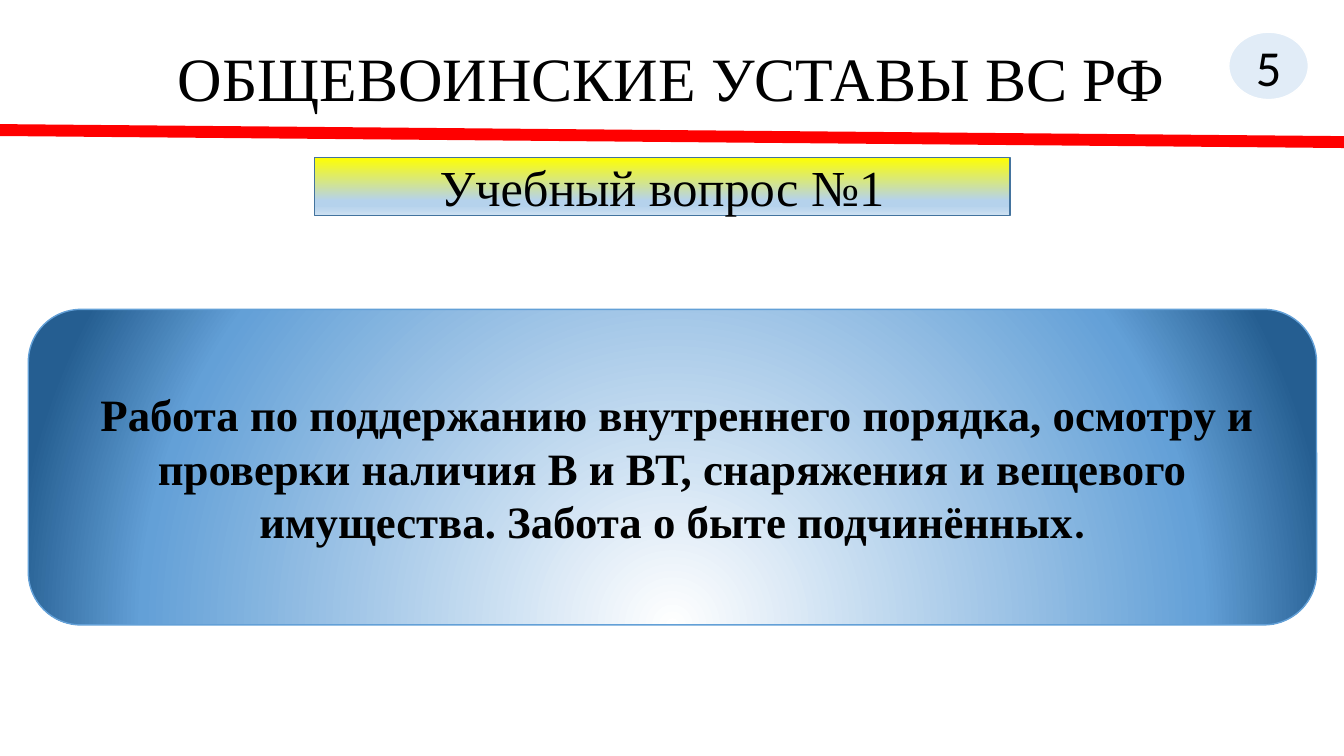
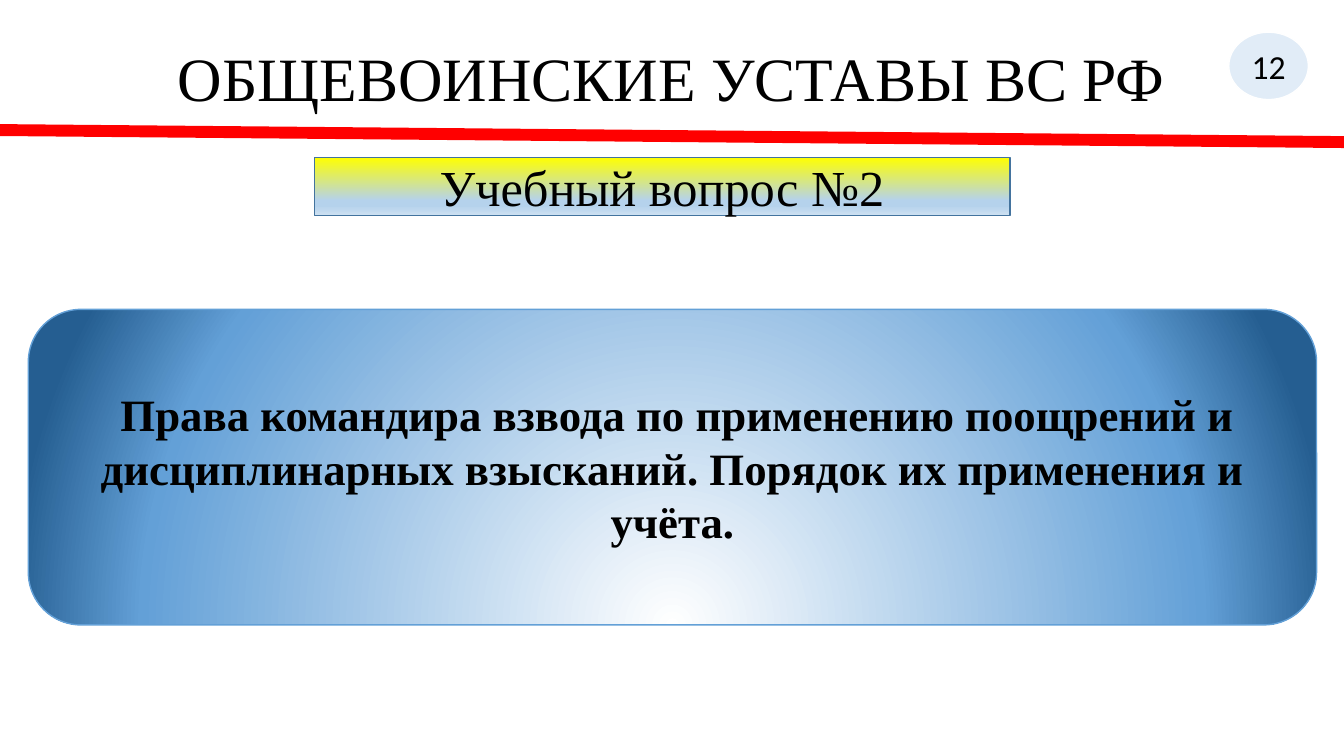
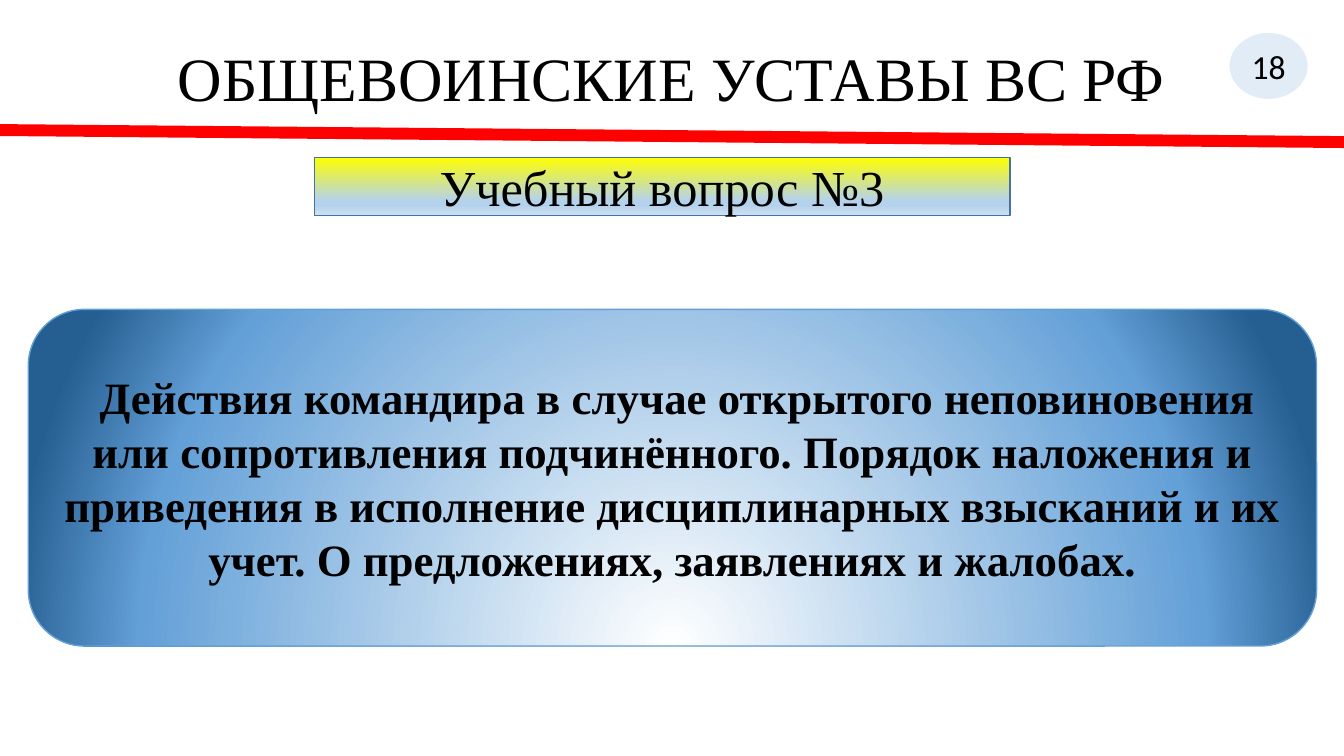
from lxml import etree
from pptx import Presentation
from pptx.dml.color import RGBColor
from pptx.enum import shapes, text
from pptx.oxml.ns import qn
from pptx.util import Pt

SERIF, SANS = "Times New Roman", "Calibri"
BLACK, RED, WHITE = "000000", "FF0000", "FFFFFF"
BADGE_BLUE, BANNER_EDGE, PANEL_BLUE = "5B9BD5", "43739E", "63A0D7"
BANNER_STOPS = [(0, "FFFF00"), (74, "B5D2EC"), (83, "B5D2EC"), (100, "CEE1F2")]
PANEL_STOPS = [(0, WHITE), (80, PANEL_BLUE), (100, "255E91")]

TITLE = "ОБЩЕВОИНСКИЕ УСТАВЫ ВС РФ"
# Slide number, its size, panel height, topic, closing mark in the sans font
QUESTIONS = [
    (5, 36, 225.4,
     "Работа по поддержанию внутреннего порядка, осмотру и проверки наличия "
     "В и ВТ, снаряжения и вещевого имущества. Забота о быте подчинённых", "."),
    (12, 24, 225.4,
     "Права командира взвода по применению поощрений и дисциплинарных "
     "взысканий. Порядок их применения и учёта.", ""),
    (18, 24, 240.5,
     "Действия командира в случае открытого неповиновения или сопротивления "
     "подчинённого. Порядок наложения и приведения в исполнение "
     "дисциплинарных взысканий и их учет. О предложениях, заявлениях и "
     "жалобах.", ""),
]


def color(value):
    return RGBColor.from_string(value)


def write(shape, content, size, font=SERIF, bold=False):
    """Put one centred paragraph into the shape and return it."""
    frame = shape.text_frame
    frame.word_wrap = True
    frame.vertical_anchor = text.MSO_ANCHOR.MIDDLE
    para = frame.paragraphs[0]
    para.alignment = text.PP_ALIGN.CENTER
    para.font.name = font
    para.font.size = Pt(size)
    para.font.bold = bold
    para.font.color.rgb = color(BLACK)
    para.add_run().text = content
    return para


def add_box(slide, kind, left, top, width, height, edge):
    box = slide.shapes.add_shape(kind, Pt(left), Pt(top), Pt(width), Pt(height))
    box.shadow.inherit = False
    box.line.color.rgb = color(edge)
    box.line.width = Pt(1)
    return box


def fill_gradient(shape, stops, radial=False):
    """Fill from top to bottom, or in circles around a point below the middle."""
    shape.fill.gradient()
    gradient = shape._element.spPr.find(qn("a:gradFill"))
    for child in list(gradient):
        gradient.remove(child)
    stop_list = etree.SubElement(gradient, qn("a:gsLst"))
    for position, value in stops:
        stop = etree.SubElement(stop_list, qn("a:gs"), pos=str(position * 1000))
        etree.SubElement(stop, qn("a:srgbClr"), val=value)
    if radial:
        circle = etree.SubElement(gradient, qn("a:path"), {"path": "circle"})
        etree.SubElement(circle, qn("a:fillToRect"),
                         l="50000", t="130000", r="50000", b="-30000")
    else:
        etree.SubElement(gradient, qn("a:lin"), ang="5400000", scaled="0")


def add_title(slide):
    box = slide.shapes.add_textbox(Pt(66), Pt(29), Pt(828), Pt(58))
    write(box, TITLE, 44).line_spacing = 0.9


def add_rule(slide):
    rule = slide.shapes.add_connector(
        shapes.MSO_CONNECTOR.STRAIGHT, Pt(0), Pt(92.9), Pt(960), Pt(101.5))
    rule.line.color.rgb = color(RED)
    rule.line.width = Pt(8.5)
    etree.SubElement(rule._element.spPr, qn("a:effectLst"))


def add_badge(slide, number, size):
    badge = add_box(slide, shapes.MSO_SHAPE.OVAL, 877.7, 23, 56.9, 48.2, WHITE)
    badge.fill.solid()
    badge.fill.fore_color.rgb = color(BADGE_BLUE)
    tint = badge._element.spPr.find(qn("a:solidFill")).find(qn("a:srgbClr"))
    etree.SubElement(tint, qn("a:alpha"), val="18000")
    write(badge, str(number), size, SANS)


def add_banner(slide, content):
    banner = add_box(slide, shapes.MSO_SHAPE.RECTANGLE,
                     224.6, 112.3, 496.8, 41.8, BANNER_EDGE)
    fill_gradient(banner, BANNER_STOPS)
    write(banner, content, 36)


def add_panel(slide, height, topic, closing):
    panel = add_box(slide, shapes.MSO_SHAPE.ROUNDED_RECTANGLE,
                    20.2, 221, 920.2, height, PANEL_BLUE)
    fill_gradient(panel, PANEL_STOPS, radial=True)
    para = write(panel, topic, 32, bold=True)
    para._p.get_or_add_pPr().set("indent", str(Pt(7)))
    if closing:
        span = para.add_run()
        span.text = closing
        span.font.name = SANS


def main():
    deck = Presentation()
    deck.slide_width, deck.slide_height = Pt(960), Pt(540)
    for order, (number, size, height, topic, closing) in enumerate(QUESTIONS, 1):
        slide = deck.slides.add_slide(deck.slide_layouts[6])
        add_title(slide)
        add_rule(slide)
        add_badge(slide, number, size)
        add_banner(slide, f"Учебный вопрос №{order}")
        add_panel(slide, height, topic, closing)
    deck.save("out.pptx")


if __name__ == "__main__":
    main()
